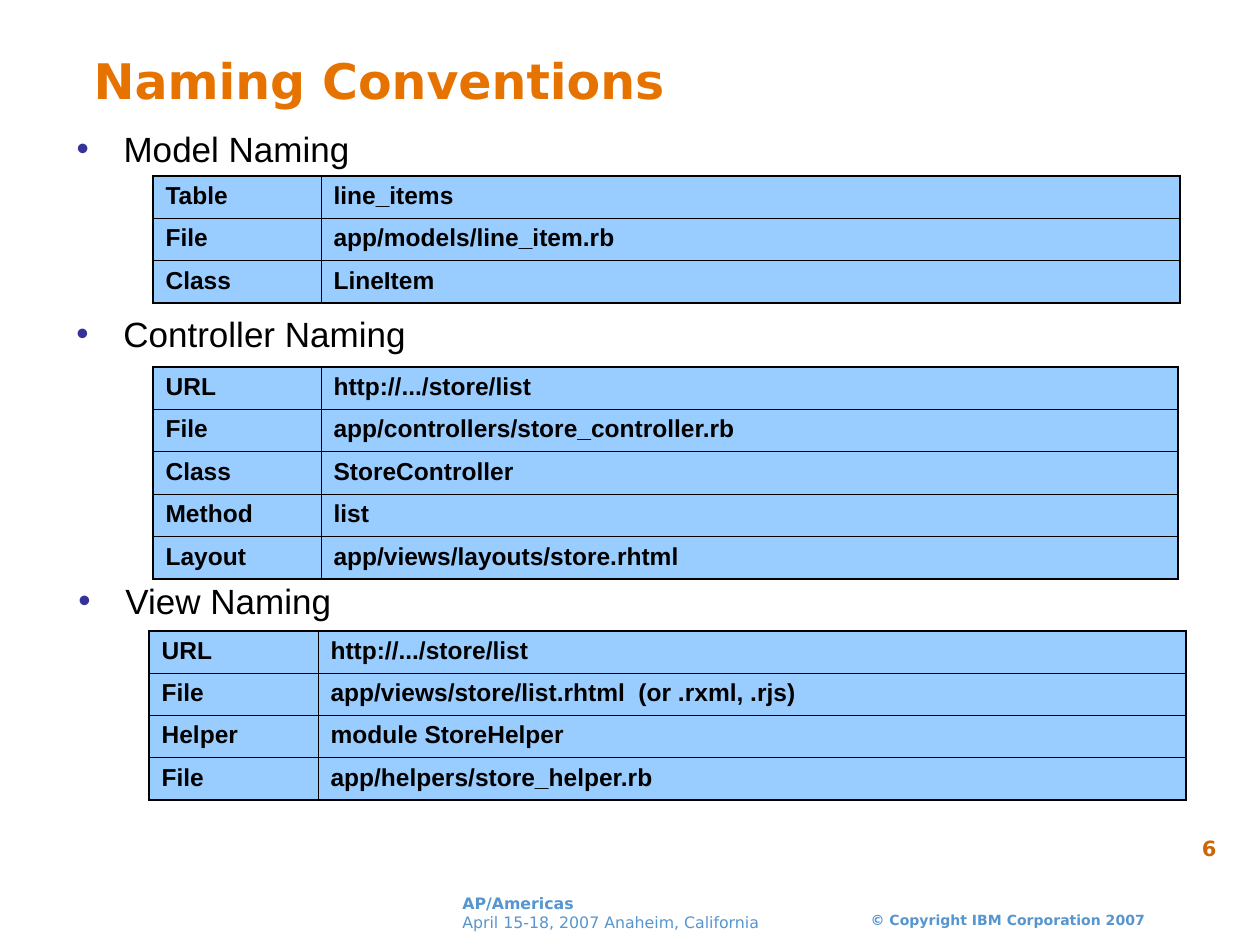
"""Builds the slide on naming conventions for models, controllers and views."""
from dataclasses import dataclass

from lxml import etree
from pptx import Presentation
from pptx import util as u
from pptx.dml.color import RGBColor
from pptx.enum import text as t
from pptx.oxml import ns

PX = 914400 / 126


@dataclass(frozen=True)
class Theme:
    title: str = "E67300"
    number: str = "CC660B"
    footer: str = "5695CE"
    ink: str = "000000"
    bullet: str = "333399"
    cell: str = "99CCFF"
    sans: str = "Arial"
    display: str = "DejaVu Sans"
    title_pt: int = 28
    heading_pt: int = 20
    cell_pt: int = 14
    number_pt: int = 12
    event_pt: int = 9
    copyright_pt: int = 8
    outer_pt: float = 1.08
    inner_pt: float = 0.45


@dataclass(frozen=True)
class Box:
    left: int
    top: int
    width: int
    height: int

    def emu(self) -> list[u.Emu]:
        return [px(n) for n in (self.left, self.top, self.width, self.height)]


@dataclass(frozen=True)
class Section:
    heading: str
    heading_box: Box
    table_box: Box
    key_width: int
    rows: tuple[tuple[str, str], ...]


THEME = Theme()
SECTIONS = (
    Section("Model Naming", Box(64, 121, 530, 59), Box(153, 176, 1027, 127), 168, (
        ("Table", "line_items"),
        ("File", "app/models/line_item.rb"),
        ("Class", "LineItem"))),
    Section("Controller Naming", Box(64, 306, 467, 57), Box(153, 367, 1025, 212), 168, (
        ("URL", "http://.../store/list"),
        ("File", "app/controllers/store_controller.rb"),
        ("Class", "StoreController"),
        ("Method", "list"),
        ("Layout", "app/views/layouts/store.rhtml"))),
    Section("View Naming", Box(66, 573, 480, 66), Box(149, 631, 1037, 169), 169, (
        ("URL", "http://.../store/list"),
        ("File", "app/views/store/list.rhtml  (or .rxml, .rjs)"),
        ("Helper", "module StoreHelper"),
        ("File", "app/helpers/store_helper.rb"))),
)


def px(length: float) -> u.Emu:
    """Turn px into EMU."""
    return u.Emu(round(length * PX))


def add_run(paragraph, words: str, size: int, color: str, font: str, bold: bool) -> None:
    """Add one formatted run to a paragraph."""
    run = paragraph.add_run()
    run.text = words
    run.font.size, run.font.name, run.font.bold = u.Pt(size), font, bold
    run.font.color.rgb = RGBColor.from_string(color)


def place(shape, box: Box, anchor=t.MSO_ANCHOR.TOP):
    """Move a text shape, set its frame and return its first paragraph."""
    shape.left, shape.top, shape.width, shape.height = box.emu()
    frame = shape.text_frame
    frame.word_wrap, frame.auto_size = True, t.MSO_AUTO_SIZE.NONE
    frame.vertical_anchor = anchor
    paragraph = frame.paragraphs[0]
    paragraph.alignment = t.PP_ALIGN.LEFT
    return paragraph


def add_heading(shape, section: Section) -> None:
    """Write a bulleted section heading."""
    paragraph = place(shape, section.heading_box)
    paragraph.space_before = u.Pt(0)
    props = paragraph._p.get_or_add_pPr()
    props.set("marL", str(px(47)))
    props.set("indent", str(px(-47)))
    color = etree.SubElement(props, ns.qn("a:buClr"))
    etree.SubElement(color, ns.qn("a:srgbClr"), val=THEME.bullet)
    etree.SubElement(props, ns.qn("a:buFont"), typeface=THEME.sans)
    etree.SubElement(props, ns.qn("a:buChar"), char="•")
    add_run(paragraph, section.heading, THEME.heading_pt, THEME.ink, THEME.sans, False)


def add_borders(cell, outer_sides: dict[str, bool]) -> None:
    """Draw the four cell borders, heavier on the table's outer edge."""
    props = cell._tc.get_or_add_tcPr()
    for position, (side, outer) in enumerate(outer_sides.items()):
        width = u.Pt(THEME.outer_pt if outer else THEME.inner_pt)
        line = etree.Element(ns.qn(f"a:ln{side}"), w=str(width))
        fill = etree.SubElement(line, ns.qn("a:solidFill"))
        etree.SubElement(fill, ns.qn("a:srgbClr"), val=THEME.ink)
        props.insert(position, line)


def add_naming_table(slide, section: Section) -> None:
    """Add a two-column table of names."""
    count, box = len(section.rows), section.table_box
    table = slide.shapes.add_table(count, 2, *box.emu()).table
    table.first_row = table.horz_banding = False
    table.columns[0].width = px(section.key_width)
    table.columns[1].width = px(box.width - section.key_width)
    for r, names in enumerate(section.rows):
        table.rows[r].height = px(box.height / count)
        for c, name in enumerate(names):
            cell = table.cell(r, c)
            cell.fill.solid()
            cell.fill.fore_color.rgb = RGBColor.from_string(THEME.cell)
            add_borders(cell, {"L": c == 0, "R": c == 1, "T": r == 0, "B": r == count - 1})
            add_run(cell.text_frame.paragraphs[0], name, THEME.cell_pt, THEME.ink, THEME.sans, True)


def add_footer(slide) -> None:
    """Add the copyright line, event details and page number."""
    notice = place(slide.shapes.add_textbox(0, 0, 0, 0), Box(834, 905, 348, 29))
    notice.alignment = t.PP_ALIGN.CENTER
    add_run(notice, "© Copyright IBM Corporation 2007", THEME.copyright_pt,
            THEME.footer, THEME.display, True)

    event_box = slide.shapes.add_textbox(0, 0, 0, 0)
    event = place(event_box, Box(450, 888, 389, 50), t.MSO_ANCHOR.BOTTOM)
    add_run(event, "AP/Americas", THEME.event_pt, THEME.footer, THEME.display, True)
    add_run(event_box.text_frame.add_paragraph(), "April 15-18, 2007 Anaheim, California",
            THEME.event_pt, THEME.footer, THEME.display, False)

    number_box = slide.shapes.add_textbox(0, 0, 0, 0)
    number = place(number_box, Box(1182, 827, 78, 44))
    number_box.text_frame.margin_left, number_box.text_frame.margin_top = px(20), px(9)
    add_run(number, "6", THEME.number_pt, THEME.number, THEME.display, True)


def main() -> None:
    """Build and save the slide."""
    deck = Presentation()
    deck.slide_width, deck.slide_height = px(1260), px(945)
    slide = deck.slides.add_slide(deck.slide_layouts[1])
    add_footer(slide)
    title = place(slide.shapes.title, Box(81, 37, 1155, 79), t.MSO_ANCHOR.BOTTOM)
    add_run(title, "Naming Conventions", THEME.title_pt, THEME.title, THEME.display, True)
    for index, section in enumerate(SECTIONS):
        add_naming_table(slide, section)
        heading = slide.shapes.add_textbox(0, 0, 0, 0) if index else slide.placeholders[1]
        add_heading(heading, section)
    deck.save("out.pptx")


if __name__ == "__main__":
    main()
